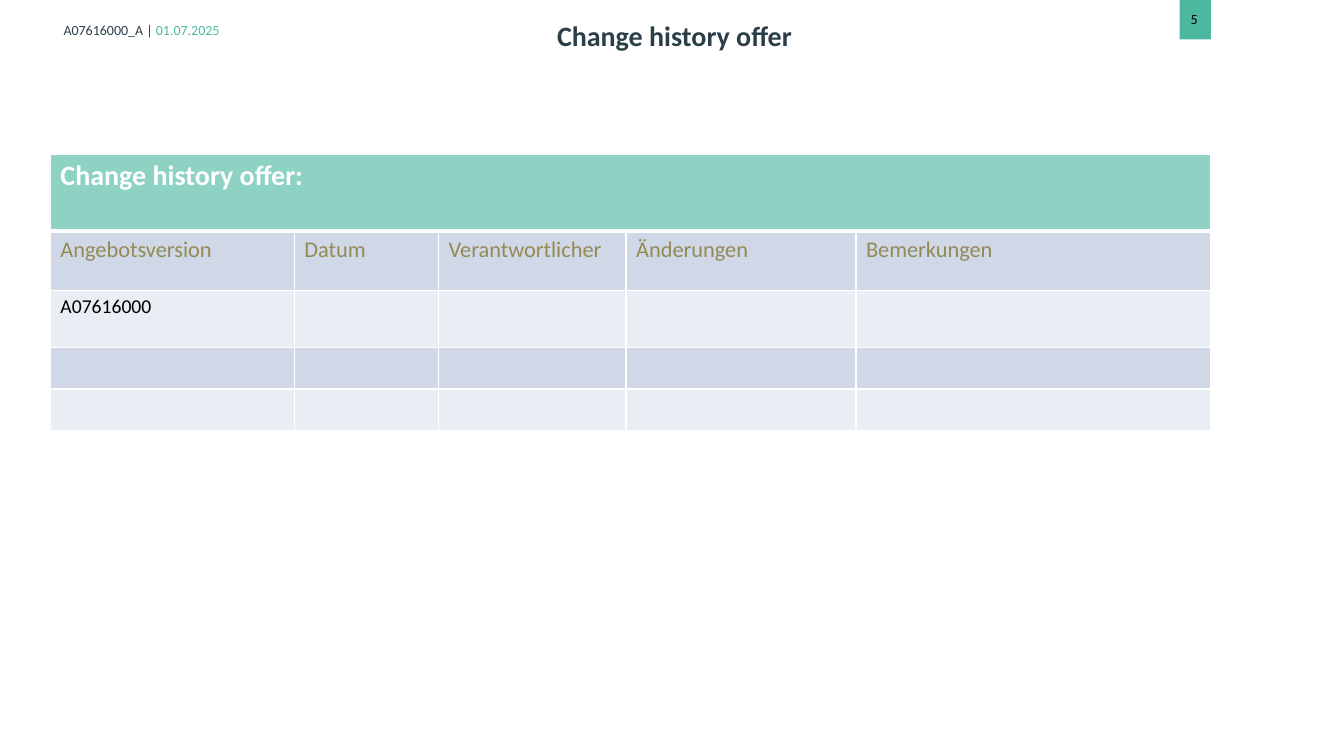
from dataclasses import dataclass

from lxml import etree
from pptx import Presentation
from pptx.dml.color import RGBColor
from pptx.enum import shapes, text
from pptx.oxml import ns
from pptx.util import Inches, Pt

TITLE = "Change history offer"
OFFER_LINE = [("A07616000_A\u2002|\u2002".replace("\u2002", " "), "ink"), ("01.07.2025", "accent")]
PAGE_NUMBER = "5"
TABLE_HEADING = "Change history offer:"
COLUMN_HEADINGS = ["Angebotsversion", "Datum", "Verantwortlicher", "Änderungen", "Bemerkungen"]
VERSIONS = [["A07616000"], [], []]
COLUMN_WIDTHS = [2.42, 1.43, 1.86, 2.28, 3.52]
ROW_HEIGHTS = [0.76, 0.59, 0.57, 0.41, 0.41]


@dataclass(frozen=True)
class Theme:
    font: str = "Calibri"
    ink: str = "2C3F48"
    accent: str = "4DB8A0"
    heading_fill: str = "8ED2C3"
    column_text: str = "948A54"
    bands: tuple = ("E9EDF4", "D0D8E8")
    white: str = "FFFFFF"
    black: str = "000000"
    small: int = 10
    body: int = 14
    column: int = 16
    title: int = 20


THEME = Theme()


def write(paragraph, content, size, color, bold=False, align=None):
    if align is not None:
        paragraph.alignment = align
    run = paragraph.add_run()
    run.text = content
    run.font.name = THEME.font
    run.font.size = Pt(size)
    run.font.bold = bold
    run.font.color.rgb = RGBColor.from_string(color)


def add_text_box(slide, box, margin=None, anchor=text.MSO_ANCHOR.TOP):
    frame = slide.shapes.add_textbox(*map(Inches, box)).text_frame
    frame.word_wrap = True
    frame.vertical_anchor = anchor
    if margin is not None:
        frame.margin_left = frame.margin_right = Inches(margin)
        frame.margin_top = frame.margin_bottom = Inches(margin)
    return frame.paragraphs[0]


def style_cell(cell, fill, widths):
    cell.fill.solid()
    cell.fill.fore_color.rgb = RGBColor.from_string(fill)
    properties = cell._tc.get_or_add_tcPr()
    for index, side in enumerate("LRTB"):
        line = etree.Element(ns.qn(f"a:ln{side}"), w=str(Pt(widths.get(side, 1))))
        solid = etree.SubElement(line, ns.qn("a:solidFill"))
        etree.SubElement(solid, ns.qn("a:srgbClr"), val=THEME.white)
        properties.insert(index, line)


def add_history_table(slide):
    rows = [[TABLE_HEADING], COLUMN_HEADINGS, *VERSIONS]
    formats = [
        dict(size=THEME.title, color=THEME.white, bold=True),
        dict(size=THEME.column, color=THEME.column_text),
    ]
    body_format = dict(size=THEME.body, color=THEME.black)
    table = slide.shapes.add_table(
        len(rows), len(COLUMN_WIDTHS), Inches(0.5), Inches(1.53),
        Inches(sum(COLUMN_WIDTHS)), Inches(sum(ROW_HEIGHTS)),
    ).table
    for column, width in zip(table.columns, COLUMN_WIDTHS):
        column.width = Inches(width)
    table.cell(0, 0).merge(table.cell(0, len(COLUMN_WIDTHS) - 1))
    for index, values in enumerate(rows):
        table.rows[index].height = Inches(ROW_HEIGHTS[index])
        fill = THEME.bands[index % 2] if index else THEME.heading_fill
        borders = {0: {"B": 3}, 1: {"T": 3}}.get(index, {})
        for cell in table.rows[index].cells:
            style_cell(cell, fill, borders)
        text_format = formats[index] if index < len(formats) else body_format
        for column, value in enumerate(values):
            write(table.cell(index, column).text_frame.paragraphs[0], value, **text_format)


def main():
    presentation = Presentation()
    presentation.slide_width, presentation.slide_height = Inches(13.33), Inches(7.5)
    slide = presentation.slides.add_slide(presentation.slide_layouts[6])

    offer = add_text_box(slide, (0.6, 0.18, 3.51, 0.23), 0.03, text.MSO_ANCHOR.MIDDLE)
    for content, color in OFFER_LINE:
        write(offer, content, THEME.small, getattr(THEME, color))

    marker = slide.shapes.add_shape(
        shapes.MSO_SHAPE.RECTANGLE, *map(Inches, (11.7, 0, 0.31, 0.39)))
    marker.shadow.inherit = False
    marker.fill.solid()
    marker.fill.fore_color.rgb = RGBColor.from_string(THEME.accent)
    marker.line.fill.background()
    write(add_text_box(slide, (11.71, 0.06, 0.8, 0.27)), PAGE_NUMBER, THEME.small, THEME.black)

    write(add_text_box(slide, (2.91, 0.13, 7.56, 0.31)), TITLE, THEME.title, THEME.ink,
          bold=True, align=text.PP_ALIGN.CENTER)
    add_history_table(slide)
    presentation.save("out.pptx")


if __name__ == "__main__":
    main()
